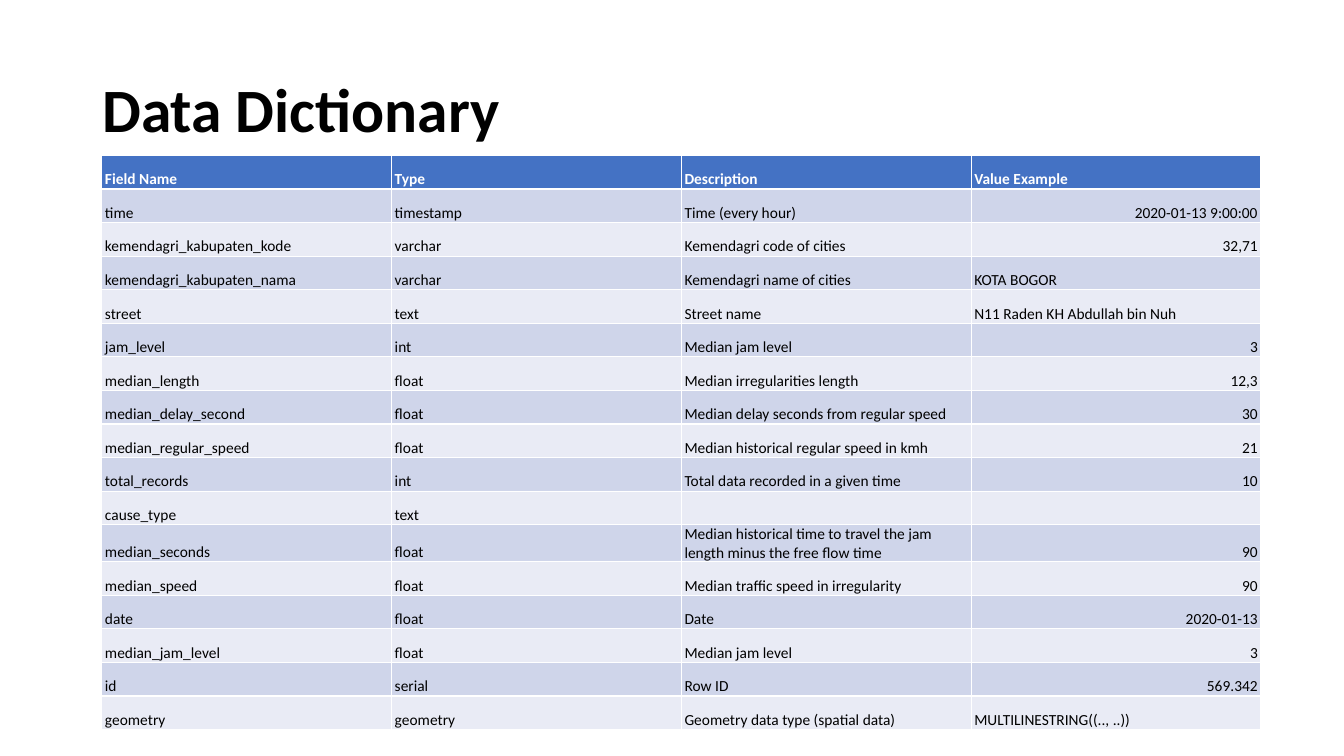
import pptx
import pptx.dml.color
import pptx.enum.text
import pptx.util

PX = 9525
FONT = "Calibri"
HEADER_FILL = "4472C4"
BAND_FILLS = ("CFD5EA", "E9EBF5")
ROW_HEIGHT = 32
WRAPPED_ROW_HEIGHT = 35
CELL_INSET = 3

HEADERS = ("Field Name", "Type", "Description", "Value Example")
FIELDS = (
    ("time", "timestamp", "Time (every hour)", "2020-01-13 9:00:00"),
    ("kemendagri_kabupaten_kode", "varchar", "Kemendagri code of cities", "32,71"),
    ("kemendagri_kabupaten_nama", "varchar", "Kemendagri name of cities", "KOTA BOGOR"),
    ("street", "text", "Street name", "N11 Raden KH Abdullah bin Nuh"),
    ("jam_level", "int", "Median jam level", "3"),
    ("median_length", "float", "Median irregularities length", "12,3"),
    ("median_delay_second", "float", "Median delay seconds from regular speed", "30"),
    ("median_regular_speed", "float", "Median historical regular speed in kmh", "21"),
    ("total_records", "int", "Total data recorded in a given time", "10"),
    ("cause_type", "text", "", ""),
    ("median_seconds", "float",
     "Median historical time to travel the jam length minus the free flow time", "90"),
    ("median_speed", "float", "Median traffic speed in irregularity", "90"),
    ("date", "float", "Date", "2020-01-13"),
    ("median_jam_level", "float", "Median jam level", "3"),
    ("id", "serial", "Row ID", "569.342"),
    ("geometry", "geometry", "Geometry data type (spatial data)", "MULTILINESTRING((.., ..))"),
)


def px(length):
    """Convert whole pixels to EMU."""
    return pptx.util.Emu(length * PX)


def color(hex_string):
    """Turn a hex string into a colour."""
    return pptx.dml.color.RGBColor.from_string(hex_string)


def format_runs(paragraph, size, hex_string, bold):
    """Apply one font to every run of a paragraph."""
    for run in paragraph.runs:
        run.font.name = FONT
        run.font.size = pptx.util.Pt(size)
        run.font.bold = bold
        run.font.color.rgb = color(hex_string)


def add_title(slide, left, top, width, height):
    """Place the slide title in its box."""
    shape = slide.shapes.add_textbox(px(left), px(top), px(width), px(height))
    text_frame = shape.text_frame
    text_frame.word_wrap = True
    text_frame.vertical_anchor = pptx.enum.text.MSO_ANCHOR.MIDDLE
    text_frame.text = "Data Dictionary"
    paragraph = text_frame.paragraphs[0]
    paragraph.line_spacing = 0.9
    format_runs(paragraph, 44, "000000", True)


def fill_cell(cell, text, fill, hex_string, bold):
    """Write and format one table cell, with values that start with a digit on the right."""
    cell.fill.solid()
    cell.fill.fore_color.rgb = color(fill)
    cell.vertical_anchor = pptx.enum.text.MSO_ANCHOR.BOTTOM
    cell.margin_left = cell.margin_right = px(CELL_INSET)
    cell.margin_top = cell.margin_bottom = 0
    cell.text = text
    paragraph = cell.text_frame.paragraphs[0]
    if text[:1].isdigit():
        paragraph.alignment = pptx.enum.text.PP_ALIGN.RIGHT
    format_runs(paragraph, 11, hex_string, bold)


def add_dictionary(slide, left, top, width):
    """Place the field table, with equal columns across its width."""
    records = (HEADERS,) + FIELDS
    heights = [WRAPPED_ROW_HEIGHT if record[0] == "median_seconds" else ROW_HEIGHT
               for record in records]
    table = slide.shapes.add_table(
        len(records), len(HEADERS), px(left), px(top), px(width), px(sum(heights))).table
    for column in table.columns:
        column.width = px(width // len(HEADERS))
    for index, (record, height) in enumerate(zip(records, heights)):
        table.rows[index].height = px(height)
        header = index == 0
        fill = HEADER_FILL if header else BAND_FILLS[(index - 1) % 2]
        for cell, text in zip(table.rows[index].cells, record):
            fill_cell(cell, text, fill, "FFFFFF" if header else "000000", header)


def main():
    """Build and save the presentation."""
    presentation = pptx.Presentation()
    presentation.slide_width = px(1280)
    presentation.slide_height = px(720)
    slide = presentation.slides.add_slide(presentation.slide_layouts[6])
    add_title(slide, 88, 38, 1104, 139)
    add_dictionary(slide, 97, 148, 1104)
    presentation.save("out.pptx")


if __name__ == "__main__":
    main()
